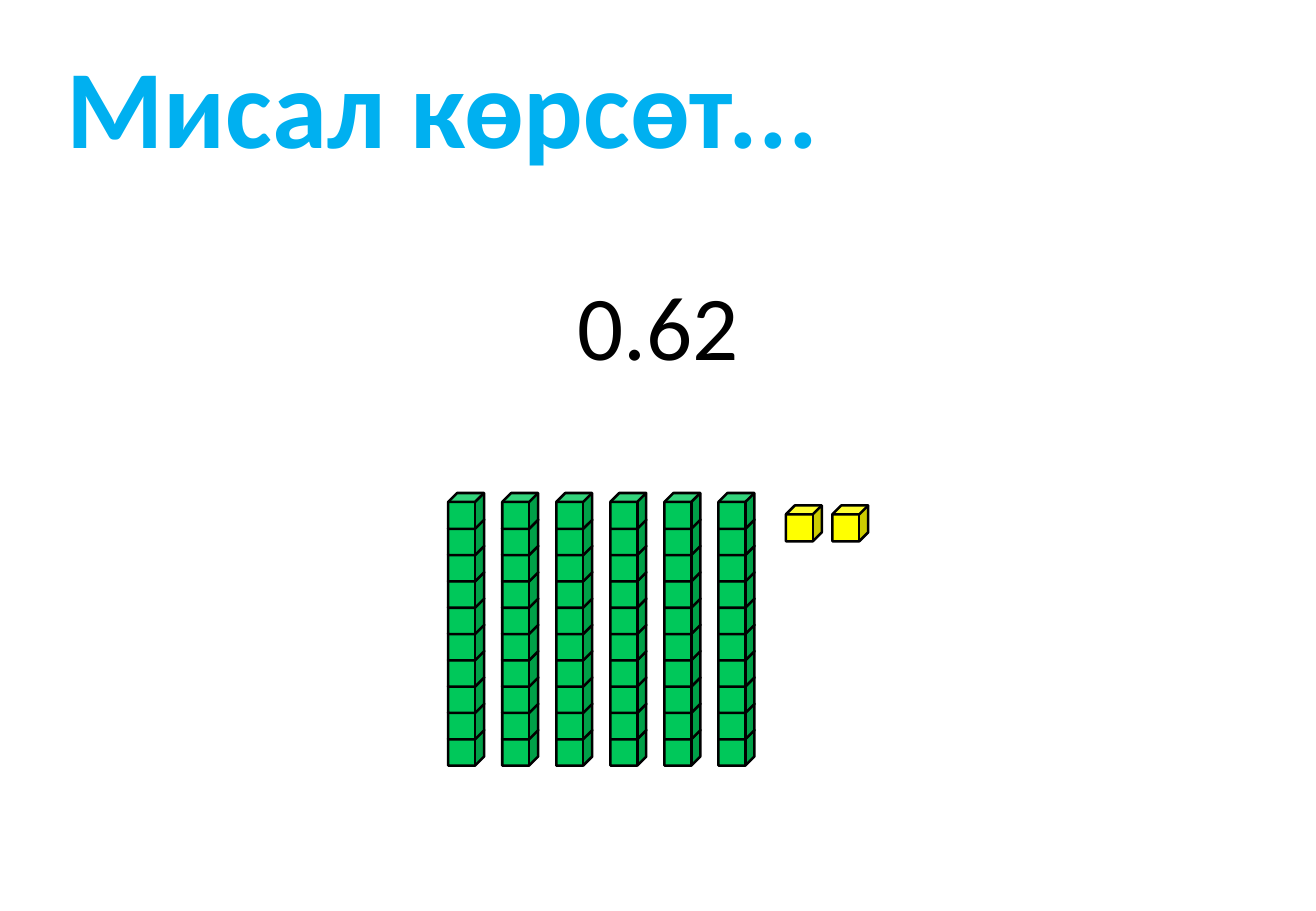
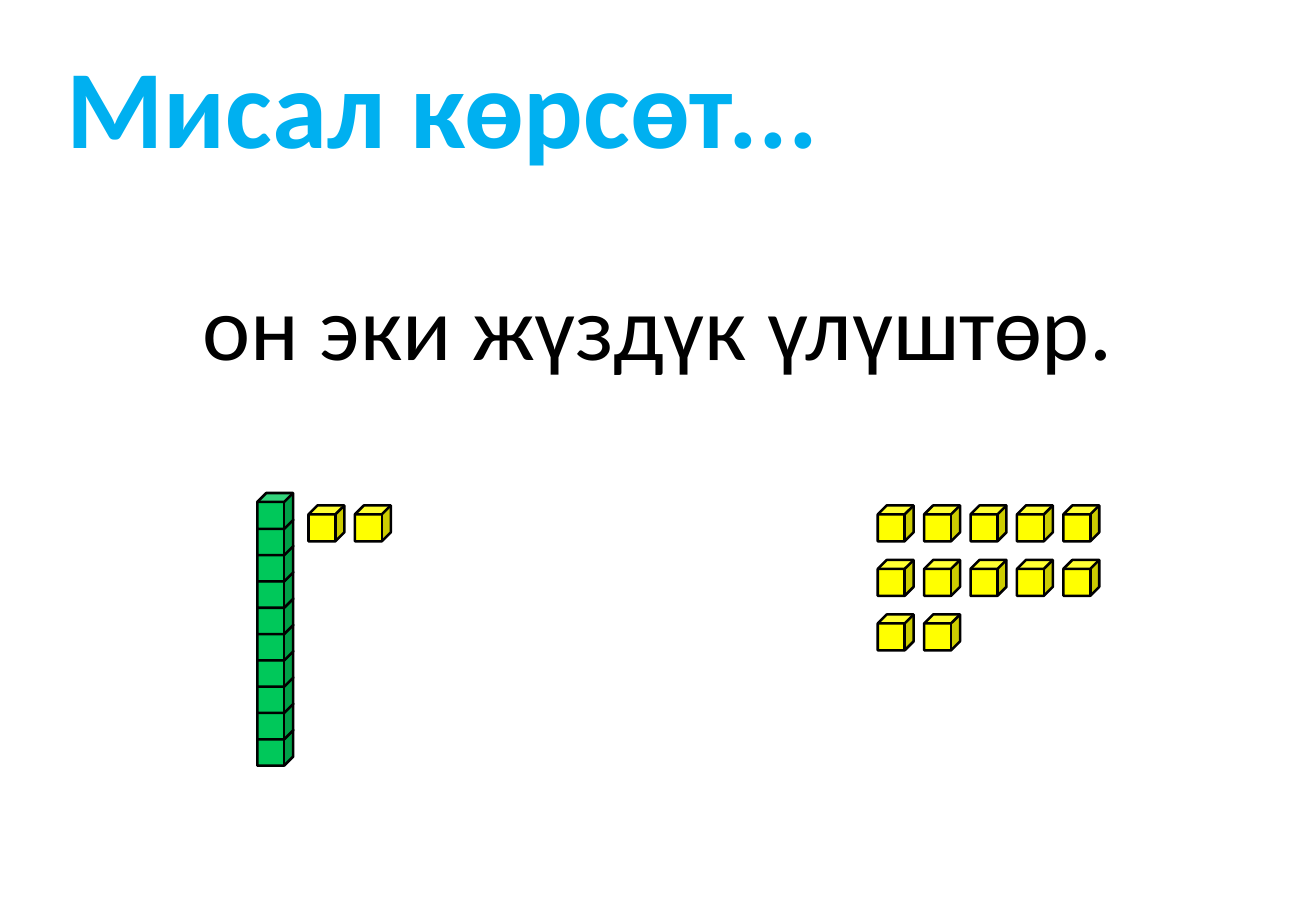
import pptx
import pptx.util
import pptx.dml.color
import pptx.enum.shapes
import pptx.enum.text

Cm = pptx.util.Cm
Pt = pptx.util.Pt

# Shared look
FONT = "Calibri"
BLUE, BLACK, GREEN, GOLD = "00B0F0", "000000", "00C85A", "FFFF00"
WIDE, HIGH = 27.51, 19.05
SIDE = 0.75                  # edge of a cube
STEP, ROD_GAP = 0.55, 1.13   # cubes within a rod, rod to rod
ONE_X, ONE_Y = 0.97, 1.14    # loose cubes, across and down
ROD_TOP, ONE_TOP = 10.31, 10.57
PER_ROW = 5


def paint(color, value):
    color.rgb = pptx.dml.color.RGBColor.from_string(value)


def write(slide, text, box, size, value, bold, wrap, align, inset):
    frame = slide.shapes.add_textbox(*[Cm(n) for n in box]).text_frame
    frame.word_wrap = wrap
    frame.auto_size = pptx.enum.text.MSO_AUTO_SIZE.SHAPE_TO_FIT_TEXT
    frame.margin_left = Cm(inset)
    para = frame.paragraphs[0]
    para.alignment = align
    run = para.add_run()
    run.text = text
    run.font.name, run.font.size, run.font.bold = FONT, Pt(size), bold
    paint(run.font.color, value)


# Each slide: wording, its width, then sets of (rods, left, ones, left)
pages = [
    ("0.62", 3.91, [(6, 9.37, 2, 16.43)]),
    ("он эки жүздүк үлүштөр.", 19.84, [(0, 0, 12, 18.35), (1, 5.38, 2, 6.45)]),
]

deck = pptx.Presentation()
deck.slide_width, deck.slide_height = Cm(WIDE), Cm(HIGH)
align = pptx.enum.text.PP_ALIGN

for text, width, sets in pages:
    slide = deck.slides.add_slide(deck.slide_layouts[6])

    # Number to show
    box = ((WIDE - width) / 2, 5.51, width, 2.57)
    write(slide, text, box, 54, BLACK, False, False, align.CENTER, 0.25)

    # Rods of ten from the bottom up, then loose cubes row by row
    for rods, rod_x, ones, one_x in sets:
        cubes = [(rod_x + rod * ROD_GAP, ROD_TOP + row * STEP, GREEN)
                 for rod in range(rods) for row in reversed(range(10))]
        cubes += [(one_x + n % PER_ROW * ONE_X, ONE_TOP + n // PER_ROW * ONE_Y, GOLD)
                  for n in range(ones)]
        group = slide.shapes.add_group_shape()
        for x, y, value in cubes:
            cube = group.shapes.add_shape(
                pptx.enum.shapes.MSO_SHAPE.CUBE, Cm(x), Cm(y), Cm(SIDE), Cm(SIDE))
            cube.shadow.inherit = False
            cube.fill.solid()
            paint(cube.fill.fore_color, value)
            paint(cube.line.color, BLACK)
            cube.line.width = Pt(1.5)

    # Title
    write(slide, "Мисал көрсөт...", (0.61, 0.66, 19.15, 3.07), 66, BLUE, True, True,
          align.LEFT, 0.78)

deck.save("out.pptx")
